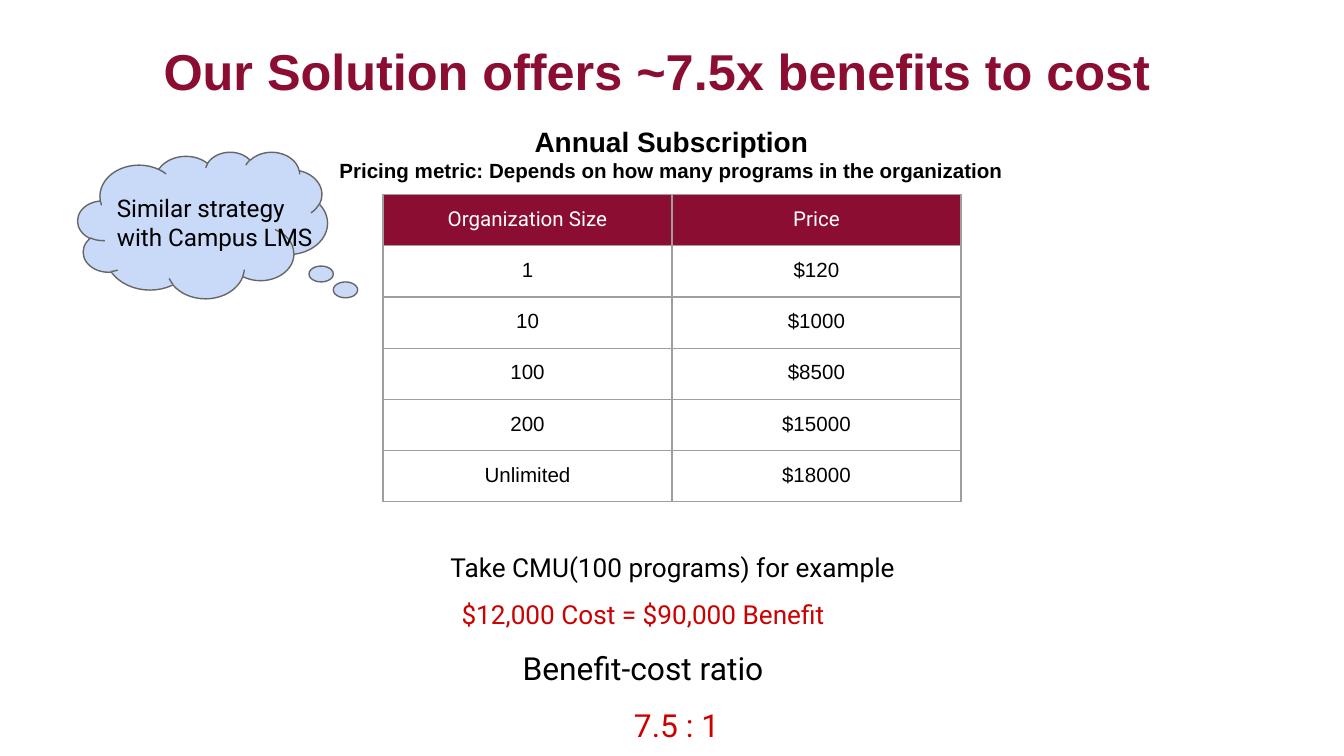
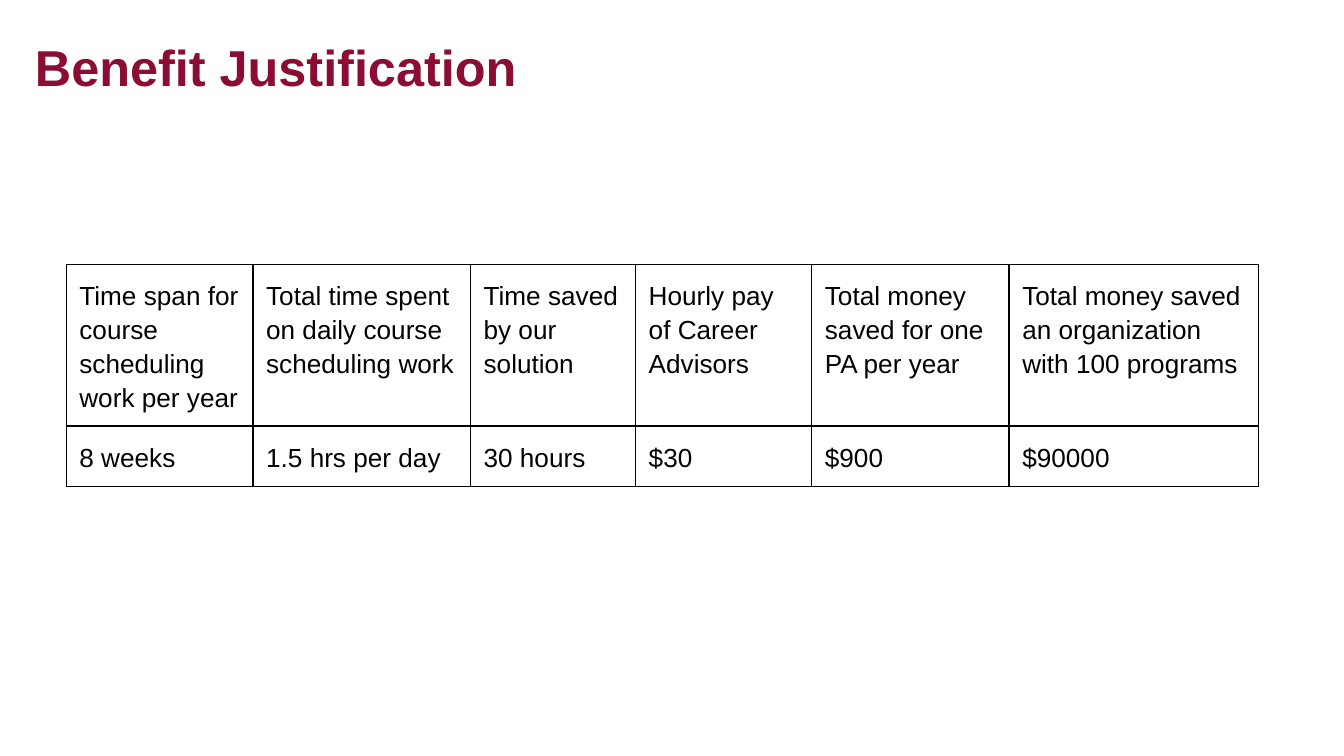
from lxml import etree
from pptx import Presentation
from pptx.dml.color import RGBColor
from pptx.enum.shapes import MSO_SHAPE
from pptx.enum.text import MSO_ANCHOR, MSO_AUTO_SIZE, PP_ALIGN
from pptx.oxml.ns import qn
from pptx.util import Cm, Pt

CLOUD, BUBBLE = MSO_SHAPE.CLOUD, MSO_SHAPE.FLOWCHART_CONNECTOR
LEFT, CENTER = PP_ALIGN.LEFT, PP_ALIGN.CENTER
TOP = MSO_ANCHOR.TOP
FIXED, GROW = MSO_AUTO_SIZE.NONE, MSO_AUTO_SIZE.SHAPE_TO_FIT_TEXT
TITLE_ONLY = 5

COLORS = {
    "maroon": "8B0D32",
    "red": "CC0000",
    "black": "000000",
    "white": "FFFFFF",
    "sky": "C9DAF8",
    "outline": "666666",
    "grid": "9E9E9E",
}
INSET = Cm(0.25)
THIN = Pt(0.75)

PRICES = [
    ("Organization Size", "Price"),
    ("1", "$120"),
    ("10", "$1000"),
    ("100", "$8500"),
    ("200", "$15000"),
    ("Unlimited", "$18000"),
]
SAVINGS = [
    ("Time span for course scheduling work per year",
     "Total time spent on daily course scheduling work",
     "Time saved by our solution",
     "Hourly pay of Career Advisors",
     "Total money saved for one PA per year",
     "Total money saved an organization with 100 programs"),
    ("8 weeks", "1.5 hrs per day", "30 hours", "$30", "$900", "$90000"),
]


def rgb(name):
    return RGBColor.from_string(COLORS[name])


def style(paragraph, size, font="Arial", color="black", bold=False,
          align=LEFT, spacing=None):
    paragraph.alignment = align
    if spacing:
        paragraph.line_spacing = spacing
    paragraph.font.size = Pt(size)
    paragraph.font.name = font
    paragraph.font.bold = bold
    paragraph.font.color.rgb = rgb(color)


def indent(paragraph, left=0, right=0):
    """Shift a centred line by indenting one side (cm)."""
    properties = paragraph._p.get_or_add_pPr()
    properties.set("marL", str(Cm(left)))
    properties.set("marR", str(Cm(right)))
    properties.set("indent", "0")


def set_frame(frame, auto_size):
    frame.margin_left = frame.margin_right = INSET
    frame.margin_top = frame.margin_bottom = INSET
    frame.word_wrap = True
    frame.vertical_anchor = TOP
    frame.auto_size = auto_size


def add_titled_slide(prs, text, box):
    slide = prs.slides.add_slide(prs.slide_layouts[TITLE_ONLY])
    title = slide.shapes.title
    title.left, title.top, title.width, title.height = map(Cm, box)
    set_frame(title.text_frame, FIXED)
    title.text_frame.text = text
    style(title.text_frame.paragraphs[0], 27, color="maroon", bold=True)
    return slide


def add_text(slide, box, lines):
    """Each line is its text and the keywords of its style."""
    frame = slide.shapes.add_textbox(*map(Cm, box)).text_frame
    set_frame(frame, GROW)
    frame.text = "\n".join(text for text, _ in lines)
    for paragraph, (_, look) in zip(frame.paragraphs, lines):
        style(paragraph, **look)
    return frame


def add_thought_part(slide, kind, box):
    part = slide.shapes.add_shape(kind, *map(Cm, box))
    part.shadow.inherit = False
    part.fill.solid()
    part.fill.fore_color.rgb = rgb("sky")
    part.line.color.rgb = rgb("outline")
    part.line.width = THIN


def set_borders(cell, color):
    properties = cell._tc.get_or_add_tcPr()
    for side in ("a:lnL", "a:lnR", "a:lnT", "a:lnB"):
        border = etree.SubElement(properties, qn(side), w=str(THIN))
        fill = etree.SubElement(border, qn("a:solidFill"))
        etree.SubElement(fill, qn("a:srgbClr"), val=COLORS[color])


def add_table(slide, left, top, widths, heights, rows, border, look,
              header_look=None, header_fill=None):
    table = slide.shapes.add_table(
        len(rows), len(widths), Cm(left), Cm(top),
        Cm(sum(widths)), Cm(sum(heights))).table
    table.first_row = table.horz_banding = False
    for column, width in zip(table.columns, widths):
        column.width = Cm(width)
    for r, (values, height) in enumerate(zip(rows, heights)):
        table.rows[r].height = Cm(height)
        is_header = r == 0 and header_look
        for c, value in enumerate(values):
            cell = table.cell(r, c)
            cell.margin_left = cell.margin_right = INSET
            cell.margin_top = cell.margin_bottom = INSET
            cell.text = value
            style(cell.text_frame.paragraphs[0],
                  **(header_look if is_header else look))
            set_borders(cell, border)
            if is_header:
                cell.fill.solid()
                cell.fill.fore_color.rgb = rgb(header_fill)
            else:
                cell.fill.background()


def build_pricing(prs):
    slide = add_titled_slide(prs, "Our Solution offers ~7.5x benefits to cost",
                             (2.84, 0.51, 19.71, 1.6))

    # Subscription heading
    heading = {"bold": True, "align": CENTER}
    add_text(slide, (5.31, 2.11, 14.76, 3.43), [
        ("Annual Subscription", {"size": 15, **heading}),
        ("Pricing metric: Depends on how many programs in the organization",
         {"size": 11, **heading}),
    ])

    # Worked example
    example = {"font": "Roboto", "align": CENTER, "spacing": 1.5}
    ratio = add_text(slide, (6.53, 9.88, 12.37, 4.11), [
        ("Take CMU(100 programs) for example", {"size": 14, **example}),
        ("$12,000 Cost = $90,000 Benefit",
         {"size": 14, "color": "red", **example}),
        ("Benefit-cost ratio", {"size": 17, **example}),
        ("7.5 : 1", {"size": 17, "color": "red", **example}),
    ])
    indent(ratio.paragraphs[1], right=1.12)
    indent(ratio.paragraphs[3], left=0.15)

    # Price list
    price = {"size": 11, "align": CENTER}
    add_table(slide, 7.24, 3.68, [5.46] * 2, [0.89] * len(PRICES), PRICES,
              "grid", price,
              header_look={**price, "font": "Roboto", "color": "white"},
              header_fill="maroon")

    # Thought cloud
    add_thought_part(slide, CLOUD, (1.47, 2.87, 4.72, 2.77))
    add_text(slide, (1.96, 3.4, 4.34, 1.63), [
        ("Similar strategy with Campus LMS", {"size": 13, "font": "Roboto"}),
    ])
    for left, top in ((5.84, 5.03), (6.3, 5.33)):
        add_thought_part(slide, BUBBLE, (left, top, 0.46, 0.3))


def build_justification(prs):
    slide = add_titled_slide(prs, "Benefit Justification",
                             (0.41, 0.43, 23.67, 1.6))
    # Savings calculation
    add_table(slide, 1.25, 5, [3.53, 4.11, 3.12, 3.33, 3.73, 4.72],
              [2.84, 1.12], SAVINGS, "black", {"size": 14, "spacing": 1.15})


def main():
    prs = Presentation()
    prs.slide_width, prs.slide_height = Cm(25.4), Cm(14.29)
    build_pricing(prs)
    build_justification(prs)
    prs.save("out.pptx")


if __name__ == "__main__":
    main()
